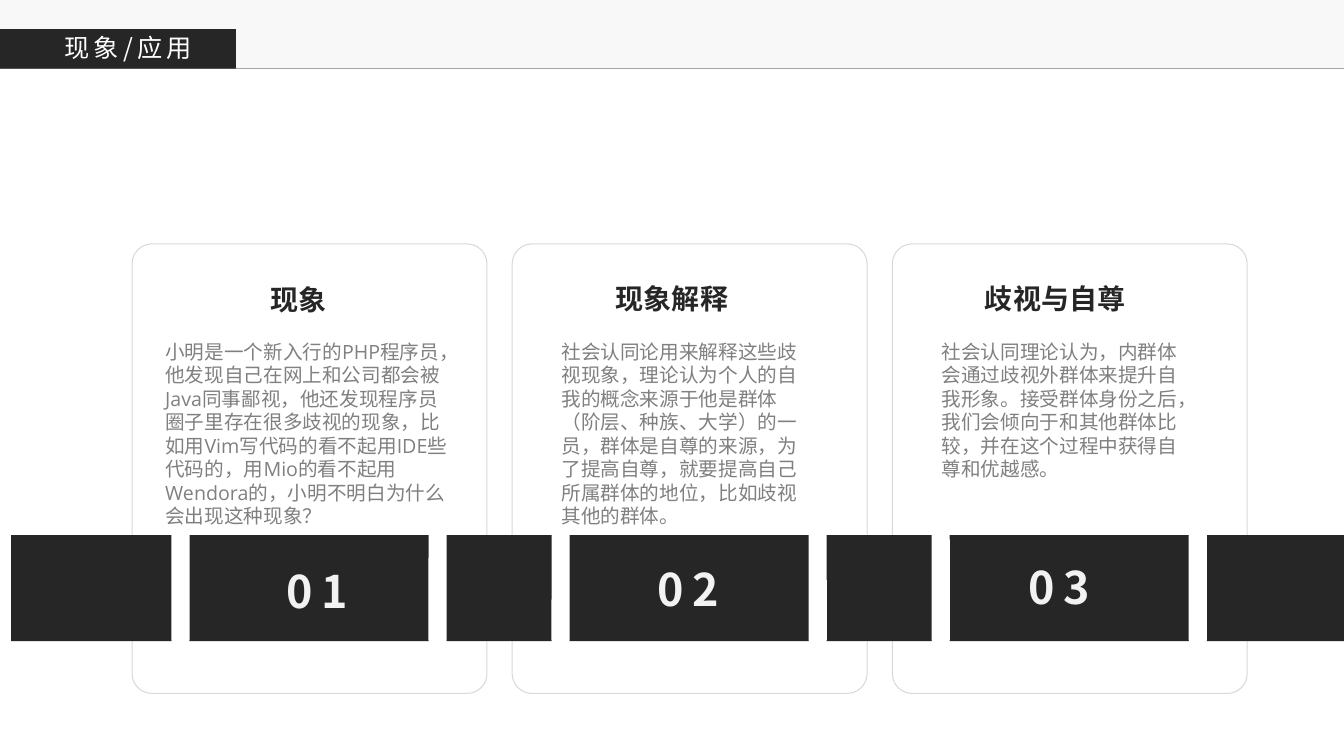
"""Build the slide of three cards on discrimination and self-esteem."""
from lxml import etree
from pptx import Presentation
from pptx.dml.color import RGBColor
from pptx.enum.lang import MSO_LANGUAGE_ID
from pptx.enum.shapes import MSO_CONNECTOR, MSO_SHAPE
from pptx.enum.text import MSO_AUTO_SIZE, PP_ALIGN
from pptx.oxml.ns import qn
from pptx.util import Inches, Pt

HEADER = "现象/应用"
CARDS = [
    {"number": "01", "title": "现象", "title_box": (2.01, 2.75, 1.9, 0.44),
     "body_box": (1.54, 3.32, 3.02, 1.98),
     "body": "小明是一个新入行的PHP程序员，他发现自己在网上和公司都会被Java同事鄙视，"
             "他还发现程序员圈子里存在很多歧视的现象，比如用Vim写代码的看不起用IDE些代码的，"
             "用Mio的看不起用Wendora的，小明不明白为什么会出现这种现象？"},
    {"number": "02", "title": "现象解释", "title_box": (5.47, 2.74, 2.39, 0.44),
     "body_box": (5.47, 3.32, 2.73, 1.98),
     "body": "社会认同论用来解释这些歧视现象，理论认为个人的自我的概念来源于他是群体"
             "（阶层、种族、大学）的一员，群体是自尊的来源，为了提高自尊，"
             "就要提高自己所属群体的地位，比如歧视其他的群体。"},
    {"number": "03", "title": "歧视与自尊", "title_box": (9.24, 2.74, 2.45, 0.44),
     "body_box": (9.24, 3.32, 2.73, 1.51),
     "body": "社会认同理论认为，内群体会通过歧视外群体来提升自我形象。接受群体身份之后，"
             "我们会倾向于和其他群体比较，并在这个过程中获得自尊和优越感。"},
]

DARK = RGBColor(0x26, 0x26, 0x26)
WHITE = RGBColor(0xFF, 0xFF, 0xFF)
PALE = RGBColor(0xF2, 0xF2, 0xF2)
BORDER = RGBColor(0xD9, 0xD9, 0xD9)
RULE = RGBColor(0xA6, 0xA6, 0xA6)
GREY = RGBColor(0x80, 0x80, 0x80)
RECT, ROUNDED = MSO_SHAPE.RECTANGLE, MSO_SHAPE.ROUNDED_RECTANGLE
STRAIGHT = MSO_CONNECTOR.STRAIGHT
LEFT, CENTER = PP_ALIGN.LEFT, PP_ALIGN.CENTER
GROW = MSO_AUTO_SIZE.SHAPE_TO_FIT_TEXT
CHINESE = MSO_LANGUAGE_ID.SIMPLIFIED_CHINESE
CJK, LATIN = "Noto Sans CJK SC", "Open Sans"

NUMBER_STYLE = {"size": Pt(32), "name": CJK, "bold": True}
TITLE_STYLE = {"size": Pt(20), "name": LATIN, "bold": True}
BODY_STYLE = {"size": Pt(14), "name": LATIN}
HEADER_STYLE = {"size": Pt(18), "name": CJK}

SLIDE_W, SLIDE_H = 13.33, 7.5
HEADER_H = 0.68
CARD_LEFT, CARD_PITCH = 1.31, 3.77
DIVIDER_OFFSETS = (0.39, 2.94)
BAND_LEFT = 0.11


def add_block(slide, kind, box, fill=None, border=None, radius=None):
    block = slide.shapes.add_shape(kind, *map(Inches, box))
    block.shadow.inherit = False
    if fill is None:
        block.fill.background()
    else:
        block.fill.solid()
        block.fill.fore_color.rgb = fill
    if border is None:
        block.line.fill.background()
    else:
        block.line.color.rgb = border
        block.line.width = Pt(0.75)
    if radius is not None:
        block.adjustments[0] = radius
    return block


def add_words(slide, box, words, style, color, align=LEFT, spacing=0):
    frame = slide.shapes.add_textbox(*map(Inches, box)).text_frame
    frame.word_wrap = True
    frame.auto_size = GROW
    paragraph = frame.paragraphs[0]
    paragraph.alignment = align
    run = paragraph.add_run()
    run.text = words
    run.font.color.rgb = color
    for key, value in {**style, "language_id": CHINESE}.items():
        setattr(run.font, key, value)
    properties = run._r.get_or_add_rPr()
    if spacing:
        properties.set("spc", str(spacing * 100))
    etree.SubElement(properties, qn("a:ea")).set("typeface", CJK)


def add_header(slide):
    strip = add_block(slide, RECT, (0, 0, SLIDE_W, HEADER_H), PALE)
    tint = strip._element.spPr.find(".//" + qn("a:srgbClr"))
    etree.SubElement(tint, qn("a:alpha")).set("val", "50000")
    rule = slide.shapes.add_connector(
        STRAIGHT, 0, Inches(HEADER_H), Inches(SLIDE_W), Inches(HEADER_H))
    rule.line.color.rgb = RULE
    rule.line.width = Pt(0.5)
    etree.SubElement(rule._element.spPr, qn("a:effectLst"))
    add_block(slide, RECT, (0, 0.29, 2.34, 0.39), DARK)
    add_words(slide, (0.54, 0.27, 1.62, 0.4), HEADER, HEADER_STYLE, WHITE, spacing=3)


def add_cards(slide):
    card_lefts = [CARD_LEFT + i * CARD_PITCH for i in range(len(CARDS))]
    for left in card_lefts:
        add_block(slide, ROUNDED, (left, 2.42, 3.52, 4.46), border=BORDER, radius=0.056)
    add_block(slide, RECT, (BAND_LEFT, 5.31, SLIDE_W - BAND_LEFT, 1.05), DARK)
    for left in card_lefts:
        for offset in DIVIDER_OFFSETS:
            add_block(slide, ROUNDED, (left + offset, 5.18, 0.18, 1.26), WHITE, radius=0.5)
    for i, card in enumerate(CARDS):
        number_box = (2.74 + 3.68 * i, 5.54 - 0.02 * i, 0.98, 0.64)
        add_words(slide, number_box, card["number"], NUMBER_STYLE, PALE, spacing=6)
        add_words(slide, card["body_box"], card["body"], BODY_STYLE, GREY)
        add_words(slide, card["title_box"], card["title"], TITLE_STYLE, DARK, CENTER)


def main():
    deck = Presentation()
    deck.slide_width, deck.slide_height = Inches(SLIDE_W), Inches(SLIDE_H)
    slide = deck.slides.add_slide(deck.slide_layouts[6])
    add_header(slide)
    add_cards(slide)
    deck.save("out.pptx")


if __name__ == "__main__":
    main()
